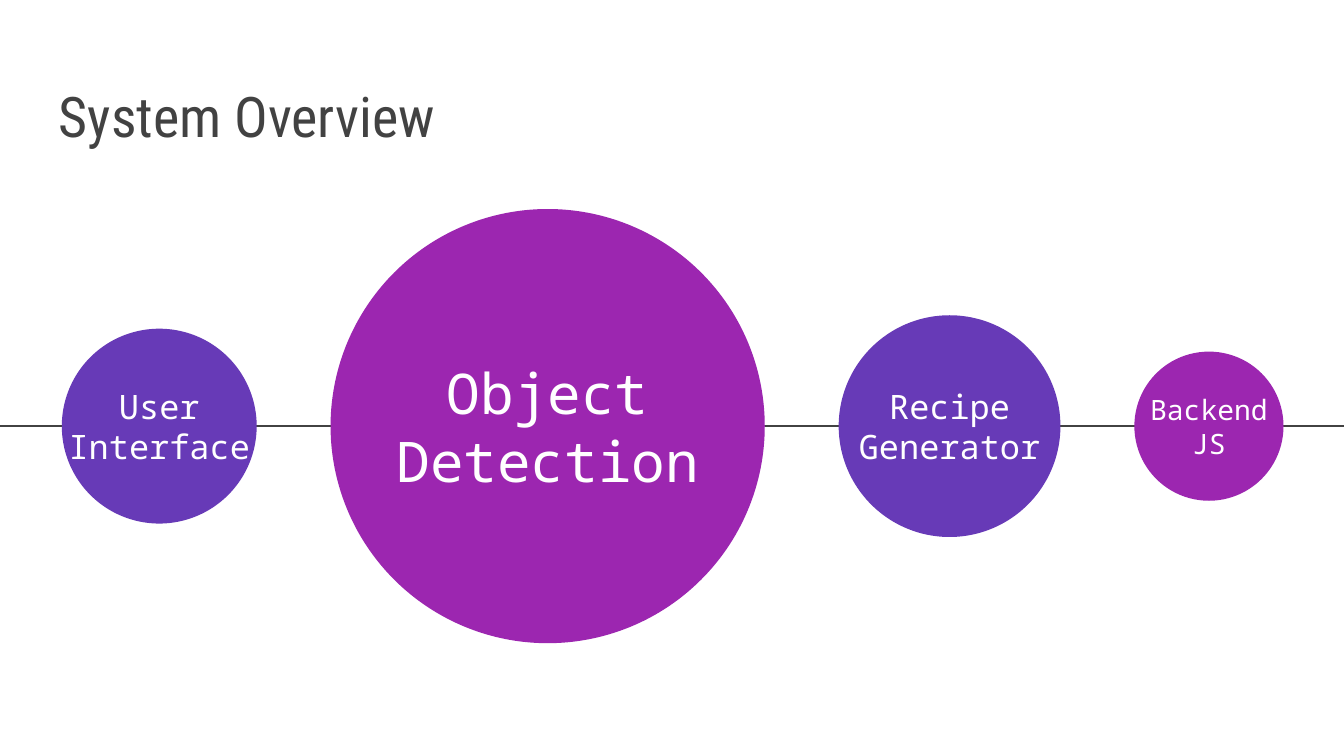
from pptx import Presentation
from pptx.dml.color import RGBColor
from pptx.enum.shapes import MSO_CONNECTOR, MSO_SHAPE
from pptx.enum.text import MSO_ANCHOR, PP_ALIGN
from pptx.oxml.ns import qn
from pptx.util import Pt
from lxml import etree

OVAL = MSO_SHAPE.OVAL
STRAIGHT = MSO_CONNECTOR.STRAIGHT
MIDDLE, BOTTOM = MSO_ANCHOR.MIDDLE, MSO_ANCHOR.BOTTOM
LEFT, CENTER = PP_ALIGN.LEFT, PP_ALIGN.CENTER

COLORS = {"ink": "424242", "violet": "673AB7", "purple": "9C26B0", "white": "FFFFFF"}
HEAD, MONO = "Roboto Condensed", "Noto Sans Mono"
WIDTH, HEIGHT = 720, 405
AXIS = 228.3
START, GAP = 33.1, 39.6
INSET = 7.2

STAGES = [
    ("User Interface", 104.4, "violet", 18, 7.2, 64),
    ("Object Detection", 232.6, "purple", 30, 0, 47.5),
    ("Recipe Generator", 118.8, "violet", 18, 0, 47.5),
    ("Backend JS", 79.9, "purple", 15, 0, 47.5),
]


class Deck:
    def __init__(self, slide):
        self.slide = slide

    def color(self, name):
        return RGBColor.from_string(COLORS[name])

    def line(self, left, right, y, name, weight):
        line = self.slide.shapes.add_connector(
            STRAIGHT, Pt(left), Pt(y), Pt(right), Pt(y))
        line.line.color.rgb = self.color(name)
        line.line.width = Pt(weight)
        etree.SubElement(line._element.spPr, qn("a:effectLst"))

    def circle(self, left, mid, size, name):
        disc = self.slide.shapes.add_shape(
            OVAL, Pt(left), Pt(mid - size / 2), Pt(size), Pt(size))
        disc.shadow.inherit = False
        disc.fill.solid()
        disc.fill.fore_color.rgb = self.color(name)
        disc.line.fill.background()

    def text(self, words, left, top, width, height, font, size, name, align, anchor):
        box = self.slide.shapes.add_textbox(Pt(left), Pt(top), Pt(width), Pt(height))
        frame = box.text_frame
        frame.word_wrap = True
        frame.vertical_anchor = anchor
        frame.margin_left = frame.margin_right = Pt(INSET)
        frame.margin_top = frame.margin_bottom = Pt(INSET)
        para = frame.paragraphs[0]
        para.text = words
        para.alignment = align
        para.font.name = font
        para.font.size = Pt(size)
        para.font.color.rgb = self.color(name)


def main():
    show = Presentation()
    show.slide_width, show.slide_height = Pt(WIDTH), Pt(HEIGHT)
    deck = Deck(show.slides.add_slide(show.slide_layouts[6]))

    deck.line(0, WIDTH, AXIS, "ink", 1.5)
    deck.text("System Overview", 24.5, 29.5, 671, 57.6, HEAD, 30, "ink", LEFT, BOTTOM)

    left = START
    for label, size, fill, points, extra, height in STAGES:
        deck.circle(left, AXIS, size, fill)
        deck.text(label, left - extra, AXIS - height / 2, size + 2 * extra, height,
                  MONO, points, "white", CENTER, MIDDLE)
        left += size + GAP

    show.save("out.pptx")


if __name__ == "__main__":
    main()
